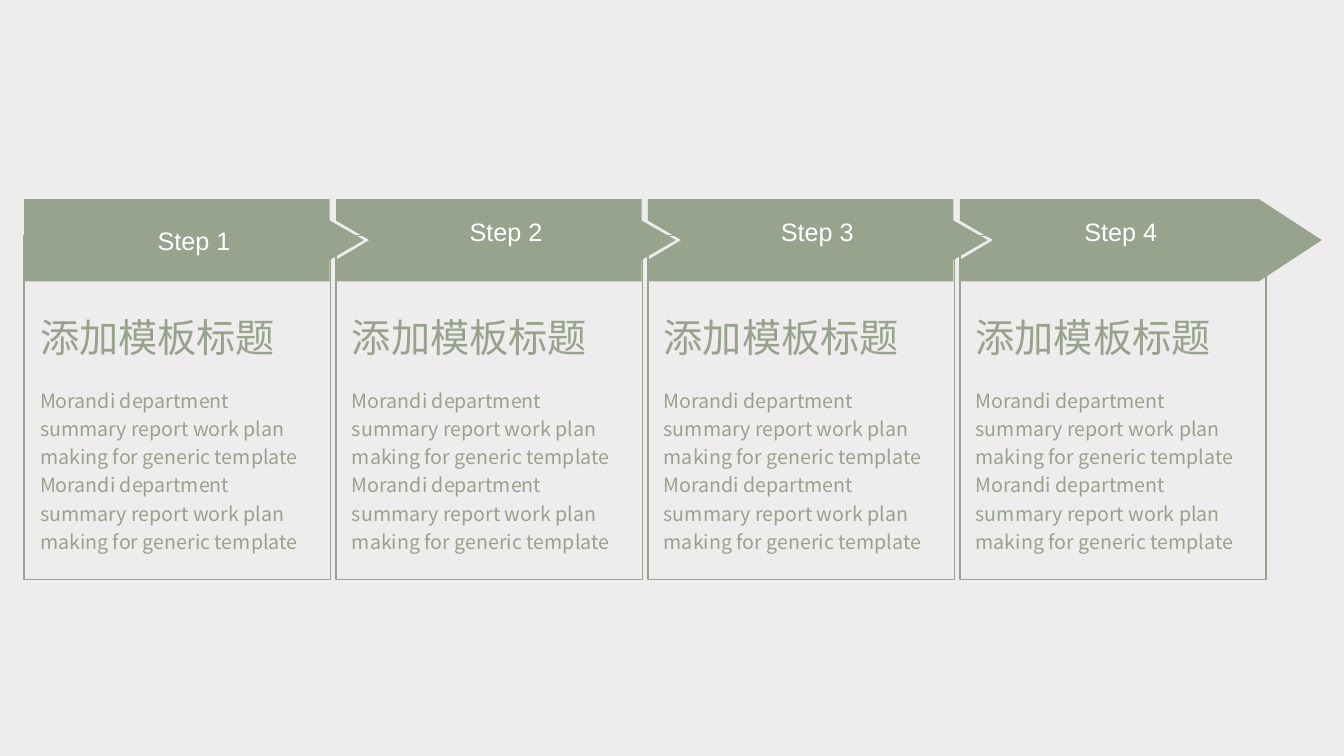
from pptx import Presentation
from pptx.dml.color import RGBColor
from pptx.enum.shapes import MSO_SHAPE
from pptx.enum.text import MSO_ANCHOR, MSO_AUTO_SIZE, PP_ALIGN
from pptx.oxml.ns import qn
from pptx.util import Cm, Pt
from lxml import etree

SAGE = RGBColor(0x97, 0xA3, 0x8D)
WHITE = RGBColor(0xFF, 0xFF, 0xFF)
PAPER = RGBColor(0xEE, 0xEC, 0xED)
RECT = MSO_SHAPE.RECTANGLE
MIDDLE = MSO_ANCHOR.MIDDLE
GROW = MSO_AUTO_SIZE.SHAPE_TO_FIT_TEXT
LEFT, CENTER, JUSTIFY = PP_ALIGN.LEFT, PP_ALIGN.CENTER, PP_ALIGN.JUSTIFY

STEP = {"size": Pt(18), "name": "Arial"}
TITLE = {"size": Pt(28), "name": "Noto Sans CJK JP"}
BODY = {"size": Pt(14), "name": "Noto Sans CJK JP"}

SENTENCE = "Morandi department summary report work plan making for generic template"
X0, PITCH, COUNT = 0.61, 7.86, 4
TOP, MID, BOTTOM = 5.02, 6.05, 7.09
NOTCH_TOP, NOTCH_BOTTOM = 5.56, 6.55
LABEL_OFFSETS = [None, 2.71, 2.69, 2.48]


def write(tf, text, align, font, color):
    p = tf.paragraphs[0]
    p.alignment = align
    r = p.add_run()
    r.text = text
    for key, value in font.items():
        setattr(r.font, key, value)
    r.font.color.rgb = color
    etree.SubElement(r._r.get_or_add_rPr(), qn("a:ea"), typeface=font["name"])
    return p


def add_text(s, box, text, align, font, color):
    tf = s.shapes.add_textbox(*[Cm(v) for v in box]).text_frame
    tf.word_wrap = True
    tf.auto_size = GROW
    return write(tf, text, align, font, color)


prs = Presentation()
prs.slide_width, prs.slide_height = Cm(33.87), Cm(19.05)
s = prs.slides.add_slide(prs.slide_layouts[6])
s.background.fill.solid()
s.background.fill.fore_color.rgb = PAPER

lefts = [X0 + PITCH * i for i in range(COUNT)]

for x in lefts:
    frame = s.shapes.add_shape(RECT, Cm(x), Cm(5.94), Cm(7.72), Cm(8.66))
    frame.shadow.inherit = False
    frame.fill.background()
    frame.line.color.rgb = SAGE
    frame.line.width = Pt(1)

for i, x in enumerate(lefts):
    if i == COUNT - 1:
        head = [(7.54, TOP), (9.12, MID), (7.54, BOTTOM)]
    else:
        head = [(7.7, TOP), (7.7, NOTCH_TOP), (8.56, MID),
                (7.7, NOTCH_BOTTOM), (7.7, BOTTOM)]
    notch = [(0, NOTCH_BOTTOM), (0.84, MID), (0, NOTCH_TOP)] if i else []
    outline = head + [(0, BOTTOM)] + notch
    builder = s.shapes.build_freeform(Cm(x), Cm(TOP))
    builder.add_line_segments([(Cm(x + dx), Cm(y)) for dx, y in outline])
    arrow = builder.convert_to_shape()
    arrow.shadow.inherit = False
    arrow.fill.solid()
    arrow.fill.fore_color.rgb = SAGE
    arrow.line.fill.background()

    label = f"Step {i + 1}"
    if i == 0:
        arrow.text_frame.vertical_anchor = MIDDLE
        write(arrow.text_frame, label, CENTER, STEP, WHITE)
    else:
        box = (x + LABEL_OFFSETS[i], 5.33, 3.15, 1.02)
        add_text(s, box, label, CENTER, STEP, WHITE)

for x in lefts:
    add_text(s, (x + 0.15, 7.77, 7.39, 1.45), "添加模板标题", JUSTIFY, TITLE, SAGE)
    p = add_text(s, (x + 0.15, 9.55, 7.39, 4.57), f"{SENTENCE} {SENTENCE}", LEFT, BODY, SAGE)
    p.line_spacing = 1.2

prs.save("out.pptx")
